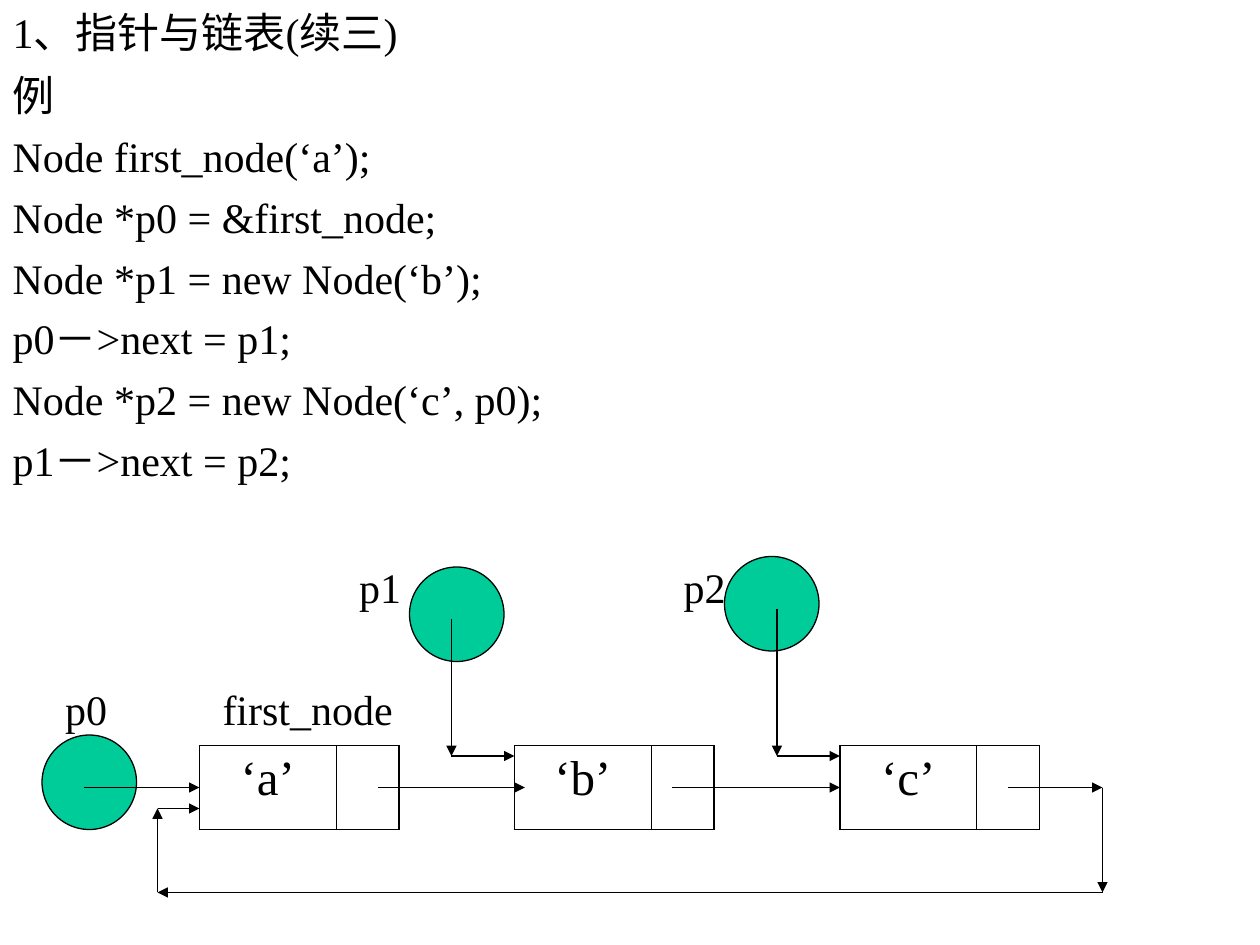
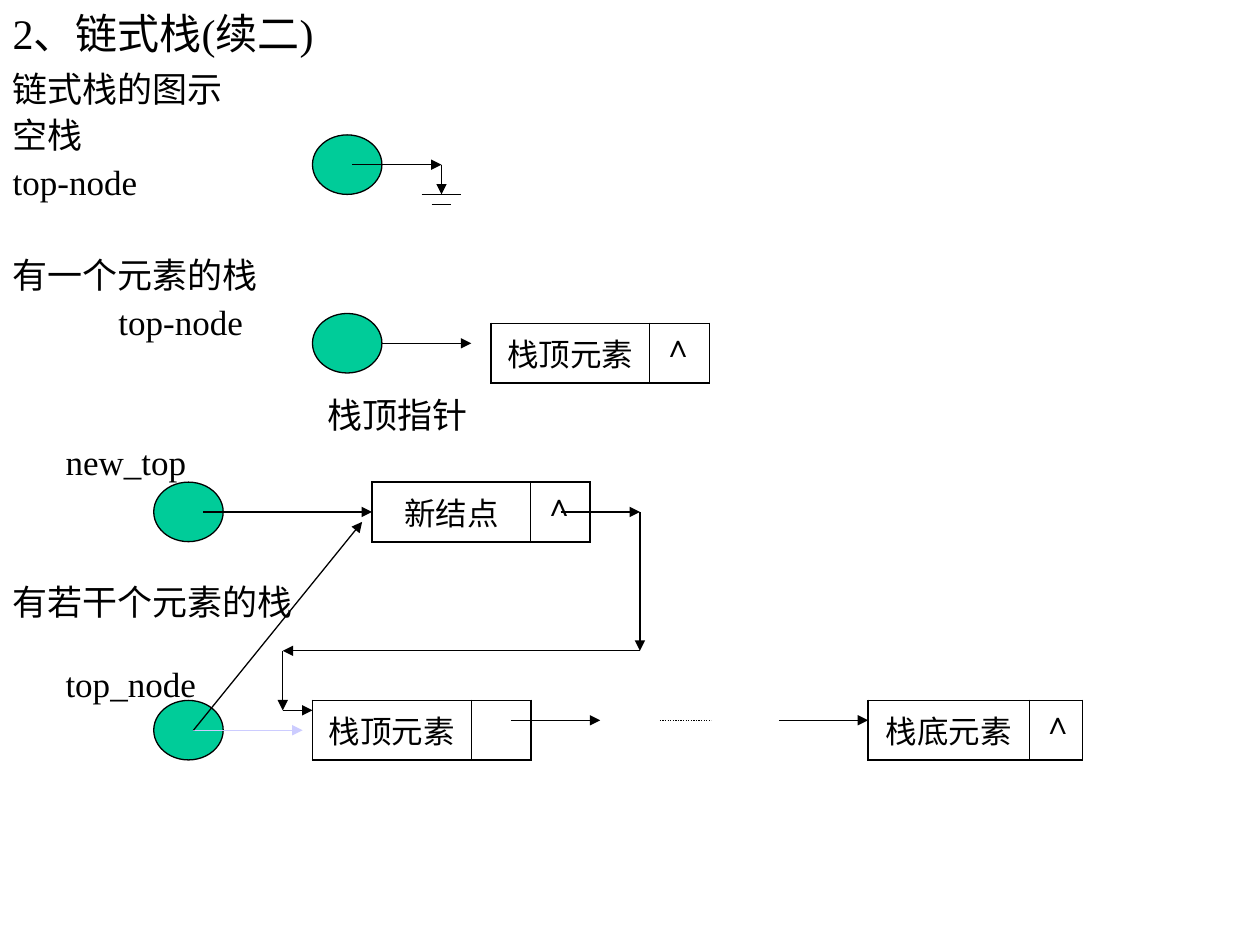
from lxml import etree
from pptx import Presentation
from pptx import util as u
from pptx.dml import color
from pptx.enum import dml, shapes, text
from pptx.oxml import ns

HUES = {"ink": "000000", "node": "00CC99", "old": "CCCCFF"}
FACE = "Times New Roman"
THIN, EDGE, LINK = 0.45, 1.08, 0.74


def rgb(name):
    """Give the colour of a name."""
    return color.RGBColor.from_string(HUES[name])


def put(item, **vals):
    """Set attributes of an item from format values."""
    for key, val in vals.items():
        setattr(item, key, val)


def sub(root, tag, **attrs):
    """Add a drawing element below root."""
    return etree.SubElement(root, ns.qn("a:" + tag), attrs)


def write(para, words, size):
    """Add words to a paragraph in the shared face and colour."""
    run = para.add_run()
    run.text = words
    put(run.font, name=FACE, size=u.Pt(size), bold=False)
    run.font.color.rgb = rgb("ink")


class Grid:
    """A slide with a grid of equal steps from an origin."""

    def __init__(self, slide, step, left=0, top=0):
        self.shapes = slide.shapes
        self.step, self.left, self.top = step, left, top

    def size(self, *cells):
        """Turn counts of cells into lengths."""
        return [round(n * self.step) for n in cells]

    def spot(self, x, y):
        """Turn a column and row into a place."""
        dx, dy = self.size(x, y)
        return self.left + dx, self.top + dy


def head(slide, words, tall):
    """Fill the title across the top left."""
    box = slide.shapes.title
    put(box, left=0, top=0, width=u.Inches(8.5), height=u.Inches(tall))
    put(box.text_frame, vertical_anchor=text.MSO_ANCHOR.MIDDLE,
        auto_size=text.MSO_AUTO_SIZE.NONE, word_wrap=True)
    para = box.text_frame.paragraphs[0]
    para.alignment = text.PP_ALIGN.LEFT
    write(para, words, 24)


def body(slide, rows, top, tall, size, lead, gap, pitch):
    """Fill the body; a row is words, lines left free above, and indent."""
    box = slide.placeholders[1]
    put(box, left=0, top=u.Inches(top), width=u.Inches(10),
        height=u.Inches(tall))
    frame = box.text_frame
    put(frame, auto_size=text.MSO_AUTO_SIZE.NONE, word_wrap=True)
    for i, (words, skip, dent) in enumerate(rows):
        para = frame.add_paragraph() if i else frame.paragraphs[0]
        put(para, line_spacing=lead, space_before=u.Pt(gap + skip * pitch),
            alignment=text.PP_ALIGN.LEFT)
        props = para._p.get_or_add_pPr()
        props.set("marL", "0")
        props.set("indent", str(u.Inches(dent)))
        sub(props, "buNone")
        write(para, words, size)


def label(grid, x, y, words, wide):
    """Write a name beside a part of the diagram."""
    box = grid.shapes.add_textbox(*grid.spot(x, y), *grid.size(wide, 4.6))
    put(box.text_frame, word_wrap=True, margin_left=0, margin_right=0,
        margin_top=0, margin_bottom=0)
    write(box.text_frame.paragraphs[0], words, 24)


def dot(grid, x, y, wide, tall):
    """Draw a pointer as a green ellipse."""
    item = grid.shapes.add_shape(shapes.MSO_SHAPE.OVAL, *grid.spot(x, y),
                                 *grid.size(wide, tall))
    item.shadow.inherit = False
    item.fill.solid()
    item.fill.fore_color.rgb = rgb("node")
    item.line.color.rgb = rgb("ink")
    item.line.width = u.Pt(LINK)


def link(grid, start, end, hue="ink", tip=True, dash=None):
    """Draw a line, with an arrowhead at its end if tip is set."""
    item = grid.shapes.add_connector(
        shapes.MSO_CONNECTOR.STRAIGHT, *grid.spot(*start), *grid.spot(*end))
    item.line.color.rgb = rgb(hue)
    put(item.line, width=u.Pt(LINK), dash_style=dash)
    if tip:
        sub(item.line._get_or_add_ln(), "tailEnd", type="triangle")
    sub(item._element.spPr, "effectLst")


def chain(grid, *spots):
    """Join spots one after another by arrows."""
    for start, end in zip(spots, spots[1:]):
        link(grid, start, end)


def rule(cell, widths):
    """Draw the four borders of a cell."""
    props = cell._tc.get_or_add_tcPr()
    for side, width in zip("LRTB", widths):
        line = sub(props, "ln" + side, w=str(u.Pt(width)))
        sub(sub(line, "solidFill"), "srgbClr", val=HUES["ink"])


def node(grid, x, y, words, cols, tall, size, top=EDGE, mid=False, mark=""):
    """Draw a list node: a table of a value and a next cell."""
    wides = grid.size(*cols)
    high, = grid.size(tall)
    table = grid.shapes.add_table(1, 2, *grid.spot(x, y), sum(wides),
                                  high).table
    put(table, first_row=False, horz_banding=False)
    table.rows[0].height = high
    edges = (EDGE, THIN, top, EDGE), (THIN, EDGE, top, EDGE)
    aligns = text.PP_ALIGN.CENTER, text.PP_ALIGN.LEFT
    for i, value in enumerate((words, mark)):
        table.columns[i].width = wides[i]
        cell = table.cell(0, i)
        rule(cell, edges[i])
        cell.fill.background()
        middle = mid and i == 0
        cell.vertical_anchor = (text.MSO_ANCHOR.MIDDLE if middle
                                else text.MSO_ANCHOR.TOP)
        para = cell.text_frame.paragraphs[0]
        put(para, alignment=aligns[i], space_before=u.Pt(size / 4))
        if value:
            write(para, value, size)


def linked(slide):
    """Build the slide on pointers and linked lists."""
    head(slide, "1、指针与链表(续三)", 0.5)
    code = ["例", "Node first_node(‘a’);", "Node *p0 = &first_node;",
            "Node *p1 = new Node(‘b’);", "p0\uff0d>next = p1;",
            "Node *p2 = new Node(‘c’, p0);", "p1\uff0d>next = p2;"]
    body(slide, [(line, 0, 0) for line in code], 0.5, 6.75,
         size=24, lead=1.0, gap=6, pitch=34.8)

    grid = Grid(slide, u.Inches(1) / 12)
    for x, y in ((4, 70), (39, 54), (69, 53)):
        dot(grid, x, y, 9, 9)
    for x, name in ((19, "a"), (49, "b"), (80, "c")):
        node(grid, x, 71, f"‘{name}’", (13, 6), 8, 28, top=THIN)
    for x, y, name, wide in ((34.2, 53.5, "p1", 5), (65.1, 53.5, "p2", 5),
                             (6.2, 65.1, "p0", 5),
                             (21.2, 65.1, "first_node", 18)):
        label(grid, x, y, name, wide)
    for x, end in ((8, 19), (36, 50), (64, 80)):
        link(grid, (x, 75), (end, 75))
    chain(grid, (43, 59), (43, 72), (49, 72))
    chain(grid, (74, 58), (74, 72), (80, 72))
    chain(grid, (96, 75), (105, 75), (105, 85), (15, 85), (15, 77), (19, 77))


def stack(slide):
    """Build the slide on the linked stack."""
    head(slide, "2、链式栈(续二)", 0.52)
    rows = [("链式栈的图示", 0, 0), ("空栈", 0, 0), ("top-node", 0, 0),
            ("有一个元素的栈", 1, 0), ("top-node", 0, 0.84),
            ("栈顶指针", 1, 2.5), ("new_top", 0, 0.42),
            ("有若干个元素的栈", 2, 0), ("top_node", 0.75, 0.42)]
    body(slide, rows, 0.52, 6.69, size=20, lead=0.9, gap=5, pitch=26.8)

    grid = Grid(slide, u.Mm(4), u.Mm(31), u.Mm(27.2))
    cell = {"cols": (8, 3), "tall": 3, "size": 18}
    node(grid, 8, 28.5, "栈顶元素", mid=True, **cell)
    node(grid, 17, 9.5, "栈顶元素", mid=True, mark="∧", **cell)
    node(grid, 36, 28.5, "栈底元素", mid=True, mark="∧",
         **{**cell, "cols": (8.13, 2.67)})
    link(grid, (10, 10.5), (16, 10.5))
    link(grid, (18, 29.5), (22.5, 29.5))
    link(grid, (25.5, 29.5), (28.1, 29.5), tip=False,
         dash=dml.MSO_LINE.ROUND_DOT)
    link(grid, (31.5, 29.5), (36, 29.5))
    for x, y in ((8, 9), (8, 0), (0, 17.5), (0, 28.5)):
        dot(grid, x, y, 3.5, 3)
    node(grid, 11, 17.5, "新结点", mark="∧", **cell)
    chain(grid, (10, 1.5), (14.5, 1.5), (14.5, 3))
    for half, y in ((1, 3), (0.5, 3.5)):
        link(grid, (14.5 - half, y), (14.5 + half, y), tip=False)
    link(grid, (2.5, 19), (11, 19))
    link(grid, (2, 30), (7.5, 30), hue="old")
    link(grid, (2, 30), (10.5, 19.5))
    chain(grid, (20.5, 19), (24.5, 19), (24.5, 26), (6.5, 26), (6.5, 29),
          (8, 29))


def main():
    """Build both slides and save them."""
    deck = Presentation()
    put(deck, slide_width=u.Inches(10), slide_height=u.Inches(7.5))
    for build in (linked, stack):
        build(deck.slides.add_slide(deck.slide_layouts[1]))
    deck.save("out.pptx")


main()
